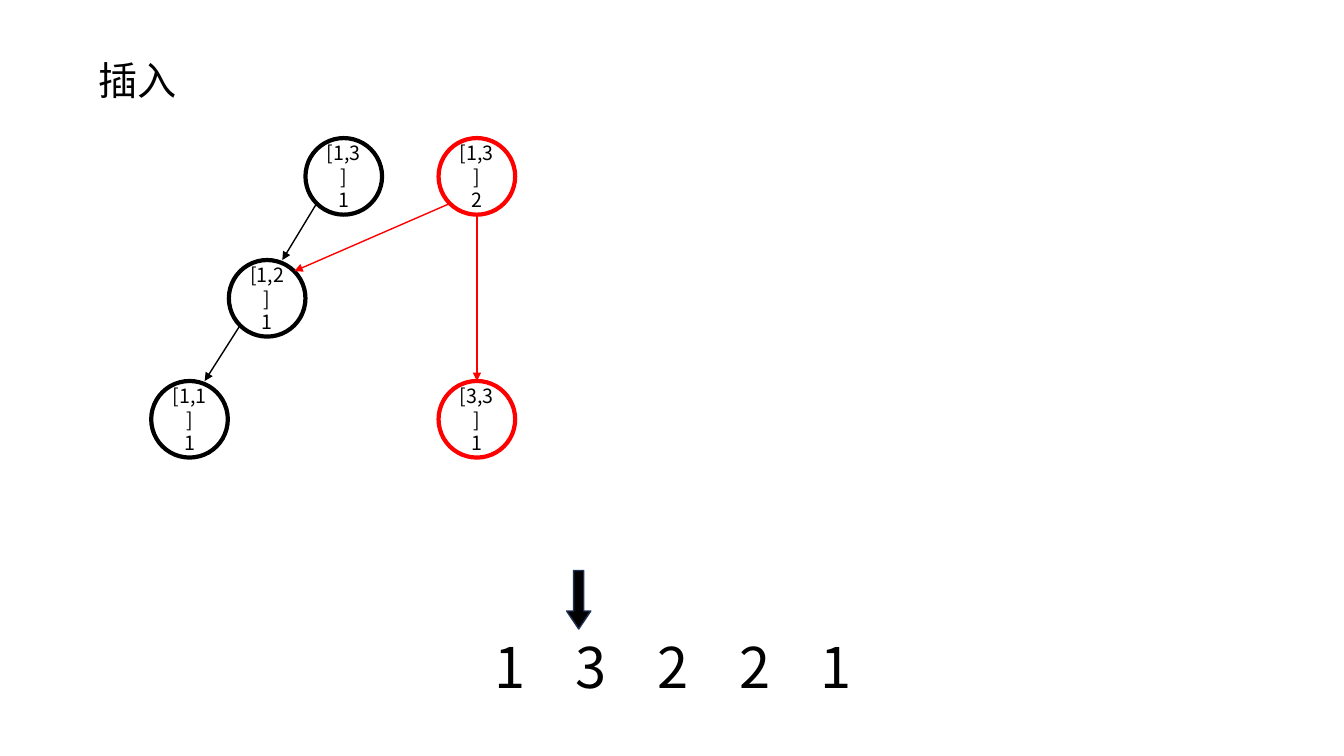
"""Build the slide that shows an insertion into a persistent segment tree."""
from lxml.etree import SubElement
from pptx import Presentation
from pptx.dml.color import RGBColor
from pptx.enum.shapes import MSO_CONNECTOR as Connector, MSO_SHAPE as Shape
from pptx.enum.text import MSO_ANCHOR as Anchor, PP_ALIGN as Align
from pptx.oxml.ns import qn
from pptx.util import Inches, Pt

BLACK = RGBColor(0x00, 0x00, 0x00)
RED = RGBColor(0xFF, 0x00, 0x00)
NAVY = RGBColor(0x1E, 0x32, 0x56)
FONT = "Noto Sans CJK SC"
DIAMETER = 0.76
RADIUS = DIAMETER / 2
DIAGONAL = 0.27
DIGIT_PITCH = 0.81
BOTTOM_LEFT = (-DIAGONAL, DIAGONAL)
TOP_RIGHT = (DIAGONAL, -DIAGONAL)
UPPER_RIGHT = (0.15, -RADIUS)
TOP = (0, -RADIUS)
BOTTOM = (0, RADIUS)


def format_paragraph(paragraph, size, align):
    """Set the font, size, colour and alignment of a paragraph."""
    paragraph.alignment = align
    font = paragraph.font
    font.name, font.size = FONT, Pt(size)
    font.color.rgb = BLACK
    defaults = paragraph._p.pPr.find(qn("a:defRPr"))
    SubElement(defaults, qn("a:ea"), typeface=FONT)


def add_title(slide, text):
    """Place the heading in the title placeholder."""
    title = slide.shapes.title
    title.left, title.top = Inches(0.88), Inches(0.51)
    title.width, title.height = Inches(1.2), Inches(0.57)
    title.text_frame.text = text
    title.text_frame.vertical_anchor = Anchor.TOP
    format_paragraph(title.text_frame.paragraphs[0], 28, Align.LEFT)


def add_node(slide, left, top, interval, count, color):
    """Draw a tree node and return its centre."""
    node = slide.shapes.add_shape(
        Shape.OVAL, Inches(left), Inches(top), Inches(DIAMETER), Inches(DIAMETER))
    node.shadow.inherit = False
    node.fill.background()
    node.line.color.rgb = color
    node.line.width = Pt(3)
    frame = node.text_frame
    frame.text = f"{interval}\n{count}"
    frame.vertical_anchor = Anchor.MIDDLE
    for paragraph in frame.paragraphs:
        format_paragraph(paragraph, 14, Align.CENTER)
    return left + RADIUS, top + RADIUS


def add_edge(slide, parent, exit_offset, child, entry_offset, color):
    """Draw an arrow from a parent node to its child."""
    ends = [Inches(centre + offset)
            for node, offsets in ((parent, exit_offset), (child, entry_offset))
            for centre, offset in zip(node, offsets)]
    edge = slide.shapes.add_connector(Connector.STRAIGHT, *ends)
    edge.line.color.rgb = color
    edge.line.width = Pt(1)
    SubElement(edge.line._get_or_add_ln(), qn("a:tailEnd"), type="triangle")
    SubElement(edge._element.spPr, qn("a:effectLst"))


def add_sequence(slide, digits):
    """Write the inserted digits at evenly spaced tab stops."""
    box = slide.shapes.add_textbox(
        Inches(4.54), Inches(6.23), Inches(4.25), Inches(0.77))
    frame = box.text_frame
    frame.word_wrap = True
    frame.margin_left = Inches(0.36)
    frame.text = "\t".join(digits)
    paragraph = frame.paragraphs[0]
    format_paragraph(paragraph, 40, Align.LEFT)
    properties = paragraph._p.pPr
    tabs = SubElement(properties, qn("a:tabLst"))
    for index in range(1, len(digits)):
        SubElement(tabs, qn("a:tab"), pos=str(Inches(DIGIT_PITCH * index)), algn="l")
    properties.insert(0, tabs)


def add_marker(slide):
    """Point a block arrow at the digit being inserted."""
    marker = slide.shapes.add_shape(
        Shape.DOWN_ARROW, Inches(5.62), Inches(5.66), Inches(0.24), Inches(0.58))
    marker.shadow.inherit = False
    marker.adjustments[0], marker.adjustments[1] = 0.42, 0.74
    marker.fill.solid()
    marker.fill.fore_color.rgb = BLACK
    marker.line.color.rgb = NAVY
    marker.line.width = Pt(1)


def main():
    """Build and save the slide."""
    deck = Presentation()
    deck.slide_width, deck.slide_height = Inches(13.33), Inches(7.5)
    slide = deck.slides.add_slide(deck.slide_layouts[5])
    add_title(slide, "插入")

    old_root = add_node(slide, 3.03, 1.37, "[1,3]", 1, BLACK)
    left_child = add_node(slide, 2.27, 2.58, "[1,2]", 1, BLACK)
    first_leaf = add_node(slide, 1.5, 3.78, "[1,1]", 1, BLACK)
    new_root = add_node(slide, 4.35, 1.37, "[1,3]", 2, RED)
    new_leaf = add_node(slide, 4.35, 3.78, "[3,3]", 1, RED)

    add_edge(slide, old_root, BOTTOM_LEFT, left_child, UPPER_RIGHT, BLACK)
    add_edge(slide, left_child, BOTTOM_LEFT, first_leaf, UPPER_RIGHT, BLACK)
    add_edge(slide, new_root, BOTTOM_LEFT, left_child, TOP_RIGHT, RED)
    add_edge(slide, new_root, BOTTOM, new_leaf, TOP, RED)

    add_sequence(slide, "13221")
    add_marker(slide)
    deck.save("out.pptx")


if __name__ == "__main__":
    main()
